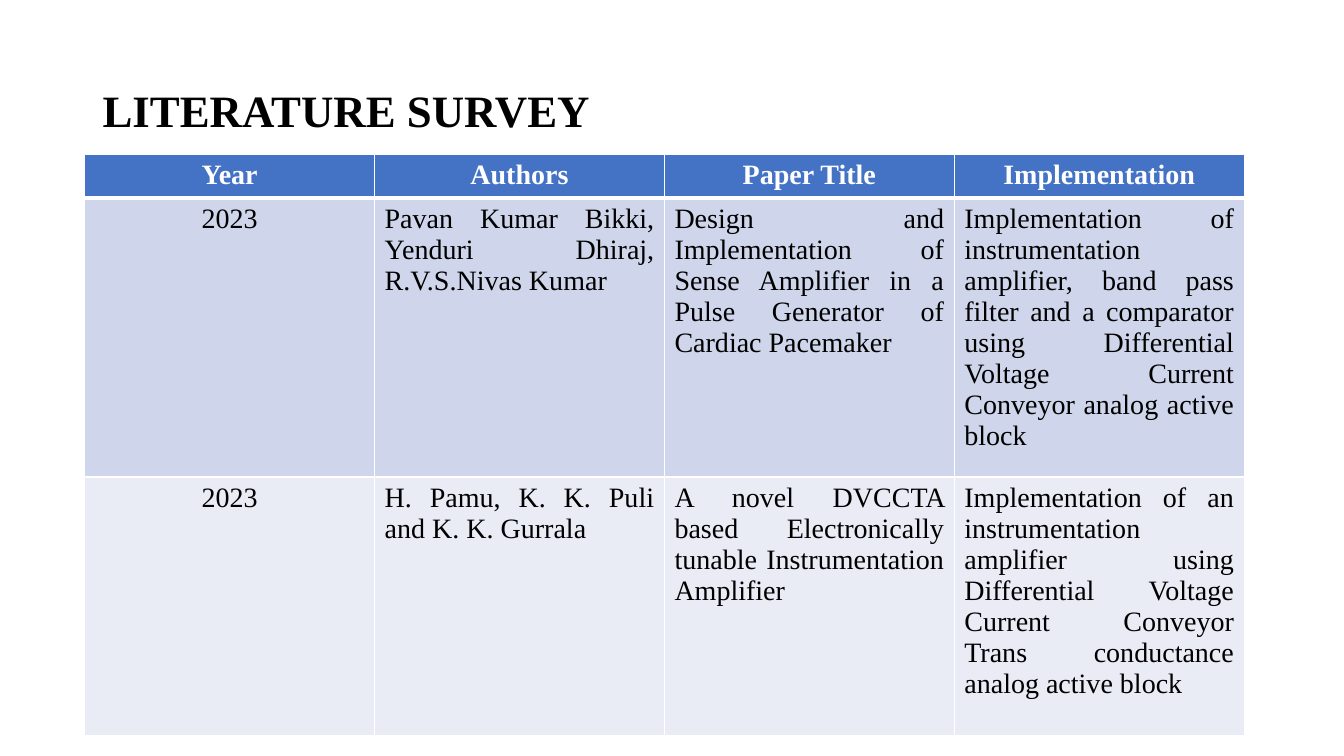
from dataclasses import dataclass

from lxml import etree
from pptx import Presentation
from pptx.dml.color import RGBColor
from pptx.enum import text as t
from pptx.oxml import ns
from pptx.util import Inches, Pt


@dataclass(frozen=True)
class Theme:
    font: str = "Times New Roman"
    title: int = 32
    body: int = 20
    ink: str = "000000"
    white: str = "FFFFFF"
    head: str = "4472C4"
    bands: tuple = ("CFD5EA", "E9EBF5")
    thin: int = 1
    thick: int = 3


THEME = Theme()
ALIGN = t.PP_ALIGN

ROWS = [
    ("Year", "Authors", "Paper Title", "Implementation"),
    ("2023",
     "Pavan Kumar Bikki, Yenduri Dhiraj, R.V.S.Nivas Kumar",
     "Design and Implementation of Sense Amplifier in a Pulse Generator "
     "of Cardiac Pacemaker",
     "Implementation of instrumentation amplifier, band pass filter and a "
     "comparator using Differential Voltage Current Conveyor analog active "
     "block"),
    ("2023",
     "H. Pamu, K. K. Puli and K. K. Gurrala",
     "A novel DVCCTA based Electronically tunable Instrumentation Amplifier",
     "Implementation of an instrumentation amplifier using Differential "
     "Voltage Current Conveyor Trans conductance analog active block"),
]
HEIGHTS = (0.41, 2.57, 2.57)
WIDTH = 11.5


def add_run(para, words, size, color, bold=False):
    run = para.add_run()
    run.text = words
    font = run.font
    font.name, font.size, font.bold = THEME.font, Pt(size), bold
    font.color.rgb = RGBColor.from_string(color)


def add_title(slide, words):
    box = slide.shapes.add_textbox(
        Inches(0.92), Inches(0.4), Inches(WIDTH), Inches(1.45))
    frame = box.text_frame
    frame.word_wrap = True
    frame.vertical_anchor = t.MSO_ANCHOR.MIDDLE
    para = frame.paragraphs[0]
    para.line_spacing = 0.9
    add_run(para, words, THEME.title, THEME.ink, True)


def add_edges(cell, top, bottom):
    props = cell._tc.get_or_add_tcPr()
    edges = {"L": THEME.thin, "R": THEME.thin, "T": top, "B": bottom}
    for side, width in edges.items():
        line = etree.SubElement(props, ns.qn(f"a:ln{side}"), w=str(Pt(width)))
        fill = etree.SubElement(line, ns.qn("a:solidFill"))
        etree.SubElement(fill, ns.qn("a:srgbClr"), val=THEME.white)


def fill_cell(cell, words, row, col):
    head = row == 0
    # Edges come before the fill in the cell's properties
    add_edges(cell, THEME.thick if row == 1 else THEME.thin,
              THEME.thick if head else THEME.thin)
    cell.fill.solid()
    shade = THEME.head if head else THEME.bands[(row - 1) % 2]
    cell.fill.fore_color.rgb = RGBColor.from_string(shade)
    para = cell.text_frame.paragraphs[0]
    para.alignment = ALIGN.CENTER if head or col == 0 else ALIGN.JUSTIFY
    add_run(para, words, THEME.body, THEME.white if head else THEME.ink, head)


def add_survey(slide):
    count = len(ROWS[0])
    table = slide.shapes.add_table(
        len(ROWS), count, Inches(0.84), Inches(1.53),
        Inches(WIDTH), Inches(sum(HEIGHTS))).table
    for col in table.columns:
        col.width = Inches(WIDTH / count)
    for row, (height, texts) in enumerate(zip(HEIGHTS, ROWS)):
        table.rows[row].height = Inches(height)
        for col, words in enumerate(texts):
            fill_cell(table.cell(row, col), words, row, col)


def main():
    deck = Presentation()
    deck.slide_width, deck.slide_height = Inches(13.33), Inches(7.5)
    slide = deck.slides.add_slide(deck.slide_layouts[6])

    # Heading
    add_title(slide, "LITERATURE SURVEY")

    # Survey table
    add_survey(slide)

    deck.save("out.pptx")


if __name__ == "__main__":
    main()
